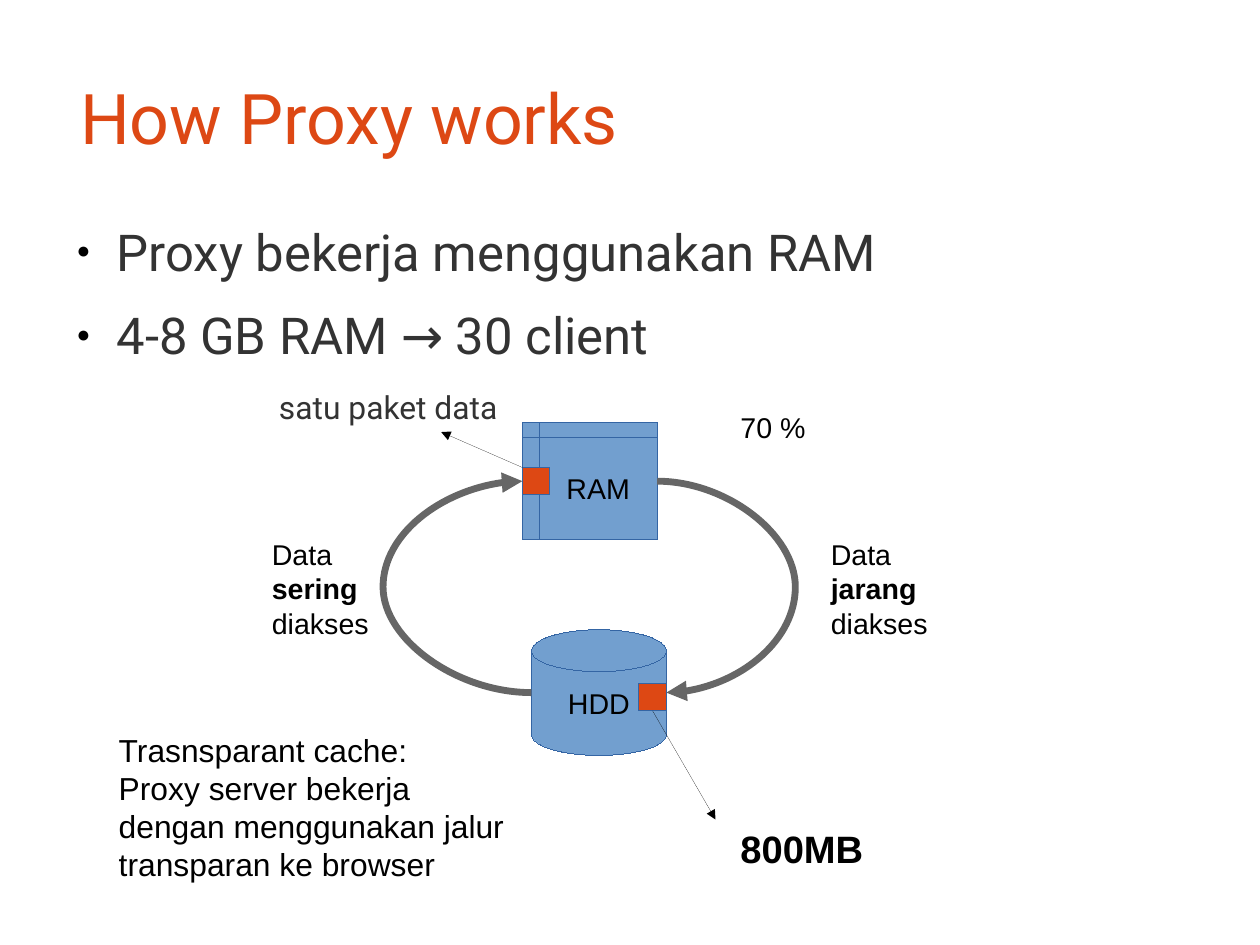
from lxml.etree import SubElement
from pptx import Presentation
from pptx.dml.color import RGBColor
from pptx.enum.shapes import MSO_CONNECTOR as Link, MSO_SHAPE as Preset
from pptx.enum.text import MSO_ANCHOR as Anchor, PP_ALIGN as Align
from pptx.oxml.ns import qn
from pptx.util import Cm, Inches, Pt

COLOURS = {"accent": "DD4814", "device": "729FCF", "outline": "3465A4",
           "loop": "666666", "body": "333333", "black": "000000"}


def colour(name):
    """Return the named colour."""
    return RGBColor.from_string(COLOURS[name])


class Deck:
    """Holds the style and the current slide."""

    def __init__(self, width, height):
        self.show = Presentation()
        self.show.slide_width = width
        self.show.slide_height = height
        self.slide = self.show.slides.add_slide(self.show.slide_layouts[5])
        self.shapes = self.slide.shapes

    def style(self, paragraph, size, tint="black", face="Arial", bold=None):
        """Set the font of a paragraph."""
        font = paragraph.font
        font.name, font.size, font.bold = face, Pt(size), bold
        font.color.rgb = colour(tint)

    def stroke(self, line, tint, width=0):
        """Set the colour and width of a line, where 0 is a hairline."""
        line.color.rgb = colour(tint)
        line._get_or_add_ln().set("w", str(Pt(width)))

    def clear_insets(self, frame):
        """Remove the margins of a text frame."""
        frame.margin_left = frame.margin_right = 0
        frame.margin_top = frame.margin_bottom = 0

    def title(self, text, box):
        """Fill and place the title placeholder."""
        heading = self.shapes.title
        heading.left, heading.top, heading.width, heading.height = map(Inches, box)
        frame = heading.text_frame
        frame.text = text
        frame.vertical_anchor = Anchor.MIDDLE
        self.clear_insets(frame)
        frame.paragraphs[0].alignment = Align.LEFT
        self.style(frame.paragraphs[0], 44, "accent", "Roboto")

    def text(self, box, lines, size, wrap=True, bold=None):
        """Add a text box; each line is a list of (text, bold) runs or a string."""
        frame = self.shapes.add_textbox(*map(Inches, box)).text_frame
        frame.word_wrap = wrap
        for number, line in enumerate(lines):
            paragraph = frame.add_paragraph() if number else frame.paragraphs[0]
            for words, strong in [(line, None)] if isinstance(line, str) else line:
                run = paragraph.add_run()
                run.text = words
                run.font.bold = strong
            self.style(paragraph, size, bold=bold)
        return frame

    def outline(self, box, bullets, caption):
        """Add the bulleted body text and its indented caption."""
        frame = self.text(box, [], 32)
        self.clear_insets(frame)
        for number, line in enumerate([*bullets, caption]):
            paragraph = frame.add_paragraph() if number else frame.paragraphs[0]
            paragraph.text = line
            is_bullet = line in bullets
            left, indent = (0.47, -0.35) if is_bullet else (1.89, 0)
            props = paragraph._p.get_or_add_pPr()
            props.set("marL", str(Inches(left)))
            props.set("indent", str(Inches(indent)))
            paragraph.space_after = Pt(14.2 if is_bullet else 5.7)
            if is_bullet:
                tint = SubElement(props, qn("a:buClr"))
                SubElement(tint, qn("a:srgbClr"), val=COLOURS["black"])
                SubElement(props, qn("a:buSzPct"), val="45000")
                SubElement(props, qn("a:buFont"), typeface="Arial")
                SubElement(props, qn("a:buChar"), char="●")
            self.style(paragraph, 32 if is_bullet else 20, "body", "Roboto")

    def shape(self, preset, box, fill, label=""):
        """Add a filled preset shape with an optional label."""
        item = self.shapes.add_shape(preset, *map(Inches, box))
        item.shadow.inherit = False
        item.fill.solid()
        item.fill.fore_color.rgb = colour(fill)
        self.stroke(item.line, "outline")
        if label:
            frame = item.text_frame
            frame.text = label
            frame.word_wrap = False
            frame.vertical_anchor = Anchor.MIDDLE
            frame.paragraphs[0].alignment = Align.CENTER
            self.style(frame.paragraphs[0], 18)
        return item

    def arrow(self, start, end, tint="black", width=0, bulge=None):
        """Add an arrow, curved when a bulge ratio is given."""
        kind = Link.CURVE if bulge else Link.STRAIGHT
        link = self.shapes.add_connector(kind, *map(Inches, (*start, *end)))
        self.stroke(link.line, tint, width)
        SubElement(link.line._get_or_add_ln(), qn("a:tailEnd"), type="triangle")
        props = link._element.spPr
        SubElement(props, qn("a:effectLst"))
        if bulge:
            guides = props.find(qn("a:prstGeom")).get_or_add_avLst()
            SubElement(guides, qn("a:gd"), name="adj1", fmla=f"val {round(bulge * 100000)}")
        return link


def main():
    """Build the proxy slide."""
    deck = Deck(Cm(28), Cm(21))
    deck.title(" How Proxy works", (0.55, 0.33, 9.92, 1.38))
    deck.shape(Preset.FLOWCHART_MAGNETIC_DISK, (4.65, 5.51, 1.18, 1.1), "device", "HDD")
    deck.shape(Preset.FLOWCHART_INTERNAL_STORAGE, (4.57, 3.7, 1.18, 1.02), "device", "RAM")
    deck.arrow((4.65, 6.06), (4.57, 4.21), "loop", 4.31, 16.25)
    deck.arrow((5.75, 4.21), (5.83, 6.06), "loop", 4.31, 15.12)
    for left, frequency in ((2.28, "sering"), (7.17, "jarang")):
        access = [("Data ", None), (frequency, True), (" diakses", None)]
        deck.text((left, 4.65, 1.42, 0.94), [access], 18)
    deck.text((6.38, 3.54, 0.77, 0.38), ["70 %"], 18, wrap=False)
    deck.outline((0.55, 1.93, 9.92, 4.79),
                 ["Proxy bekerja menggunakan RAM", "4-8 GB RAM → 30 client"],
                 "satu paket data")
    deck.shape(Preset.RECTANGLE, (4.57, 4.09, 0.24, 0.24), "accent")
    disk_packet = deck.shape(Preset.RECTANGLE, (5.59, 5.98, 0.24, 0.24), "accent")
    deck.arrow((5.71, 6.22), (6.26, 7.17)).begin_connect(disk_packet, 2)
    deck.text((6.38, 7.17, 1.57, 0.47), ["800MB"], 24, bold=True)
    deck.arrow((4.57, 4.09), (3.86, 3.78))
    deck.text((0.94, 6.34, 3.62, 1.35),
              ["Trasnsparant cache:",
               "Proxy server bekerja dengan menggunakan jalur transparan ke browser"], 20)
    deck.show.save("out.pptx")


if __name__ == "__main__":
    main()
